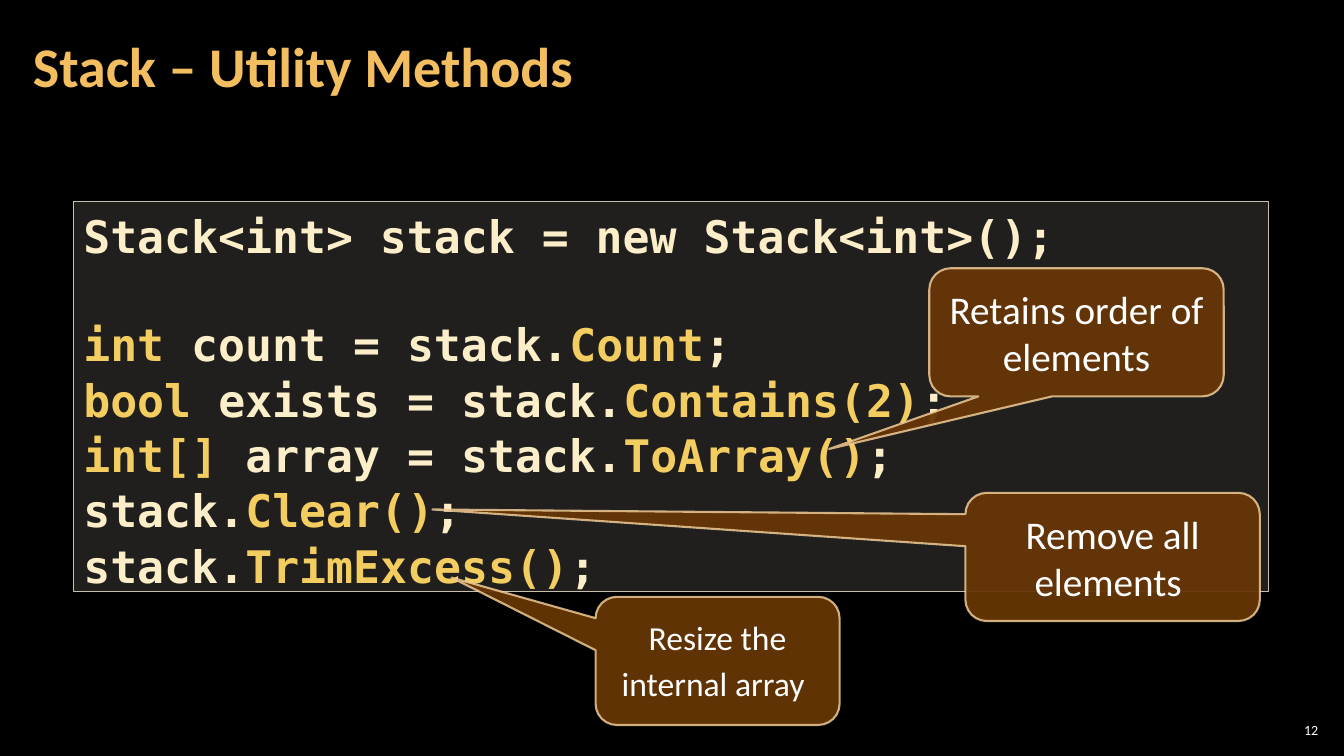
"""Builds the slide on the utility methods of a stack."""
from lxml import etree
from pptx import Presentation
from pptx.dml.color import RGBColor
from pptx.enum.shapes import MSO_SHAPE
from pptx.enum.text import MSO_ANCHOR, PP_ALIGN
from pptx.oxml.ns import qn
from pptx.util import Cm, Pt

RECTANGLE = MSO_SHAPE.RECTANGLE
CALLOUT = MSO_SHAPE.ROUNDED_RECTANGULAR_CALLOUT
TOP, MIDDLE = MSO_ANCHOR.TOP, MSO_ANCHOR.MIDDLE
LEFT, CENTER, RIGHT = PP_ALIGN.LEFT, PP_ALIGN.CENTER, PP_ALIGN.RIGHT

COLORS = {
    "background": "000000",
    "title": "F3BE60",
    "code": "FBEEC9",
    "accent": "F3CD60",
    "code_fill": "D9D5C7",
    "code_line": "C7BFAC",
    "callout_fill": "663606",
    "callout_line": "F8D49E",
    "white": "FFFFFF",
}
TEXT_FONT = "Calibri"
CODE_FONT = "DejaVu Sans Mono"
CODE_LINE_GAP = 38

CODE_LINES = [
    (0, [("Stack<int> stack = new Stack<int>();", "code")]),
    (CODE_LINE_GAP, [("int", "accent"), (" count = stack.", "code"),
                     ("Count", "accent"), (";", "code")]),
    (0, [("bool ", "accent"), ("exists = stack.", "code"),
         ("Contains(2)", "accent"), (";", "code")]),
    (0, [("int[] ", "accent"), ("array = stack.", "code"),
         ("ToArray()", "accent"), (";", "code")]),
    (0, [("stack.", "code"), ("Clear()", "accent"), (";", "code")]),
    (0, [("stack.", "code"), ("TrimExcess()", "accent"), (";", "code")]),
]
CALLOUTS = [
    ((23.42, 6.76, 7.42, 3.23), (-0.84, 0.91),
     [("Retains order of elements", 28)]),
    ((24.33, 12.42, 7.42, 3.23), (-2.31, -0.37),
     [("Remove all elements ", 28)]),
    ((15.01, 15.04, 6.15, 3.23), (-1.09, -0.65),
     [("Resize the internal array", 24), (" ", 28)]),
]


def color(name):
    """Return the named colour."""
    return RGBColor.from_string(COLORS[name])


def set_opacity(fill_parent, percent):
    """Make the solid fill below the given element partly transparent."""
    tint = fill_parent.find(qn("a:solidFill"))[0]
    etree.SubElement(tint, qn("a:alpha"), val=str(percent * 1000))


def add_span(para, text, size, tone, font=TEXT_FONT, bold=False):
    """Append one formatted run to a paragraph."""
    span = para.add_run()
    span.text = text
    span.font.name = font
    span.font.size = Pt(size)
    span.font.bold = bold
    span.font.color.rgb = color(tone)


def set_frame(shape, anchor, side=0.25, edge=0.13):
    """Set wrapping, anchor and insets of a shape and return its text frame."""
    frame = shape.text_frame
    frame.word_wrap = True
    frame.vertical_anchor = anchor
    frame.margin_left = frame.margin_right = Cm(side)
    frame.margin_top = frame.margin_bottom = Cm(edge)
    return frame


def add_panel(page, kind, box, fill, opacity, line, width):
    """Add a translucent outlined shape in the box."""
    panel = page.shapes.add_shape(kind, *map(Cm, box))
    panel.shadow.inherit = False
    panel.fill.solid()
    panel.fill.fore_color.rgb = color(fill)
    set_opacity(panel.fill._xPr, opacity)
    panel.line.color.rgb = color(line)
    panel.line.width = Pt(width)
    return panel


def add_label(page, box, text, size, tone, align=LEFT, bold=False, side=0.3):
    """Add a single line of text, centred vertically in the box."""
    label = page.shapes.add_textbox(*map(Cm, box))
    para = set_frame(label, MIDDLE, side, 0.1).paragraphs[0]
    para.alignment = align
    add_span(para, text, size, tone, bold=bold)


def add_code(page, box, lines):
    """Add the code panel with its highlighted lines."""
    panel = add_panel(page, RECTANGLE, box, "code_fill", 15, "code_line", 1)
    frame = set_frame(panel, TOP)
    for index, (gap, spans) in enumerate(lines):
        para = frame.add_paragraph() if index else frame.paragraphs[0]
        para.alignment = LEFT
        para.line_spacing = 1.03
        if gap:
            para.space_before = Pt(gap)
        for text, tone in spans:
            add_span(para, text, 32, tone, CODE_FONT, True)


def add_callout(page, box, tip, spans):
    """Add a callout whose tip is offset in shares of the box size."""
    callout = add_panel(page, CALLOUT, box, "callout_fill", 95,
                        "callout_line", 1.5)
    set_opacity(callout.line.fill._xPr, 80)
    for index, offset in enumerate(tip):
        callout.adjustments[index] = offset
    para = set_frame(callout, MIDDLE).paragraphs[0]
    para.alignment = CENTER
    for text, size in spans:
        add_span(para, text, size, "white")


def add_methods_slide(deck):
    """Add the slide with title, code, callouts and slide number."""
    page = deck.slides.add_slide(deck.slide_layouts[6])
    page.background.fill.solid()
    page.background.fill.fore_color.rgb = color("background")
    add_label(page, (32.13, 18.14, 1.19, 0.53), "12", 10, "white", RIGHT,
              side=0.1)
    add_label(page, (0.53, 0.1, 26.59, 3.07), "Stack – Utility Methods", 40,
              "title", bold=True)
    add_code(page, (1.85, 5.08, 30.12, 9.83), CODE_LINES)
    for box, tip, spans in CALLOUTS:
        add_callout(page, box, tip, spans)


def main():
    """Build and save the deck."""
    deck = Presentation()
    deck.slide_width, deck.slide_height = Cm(33.87), Cm(19.05)
    add_methods_slide(deck)
    deck.save("out.pptx")


if __name__ == "__main__":
    main()
